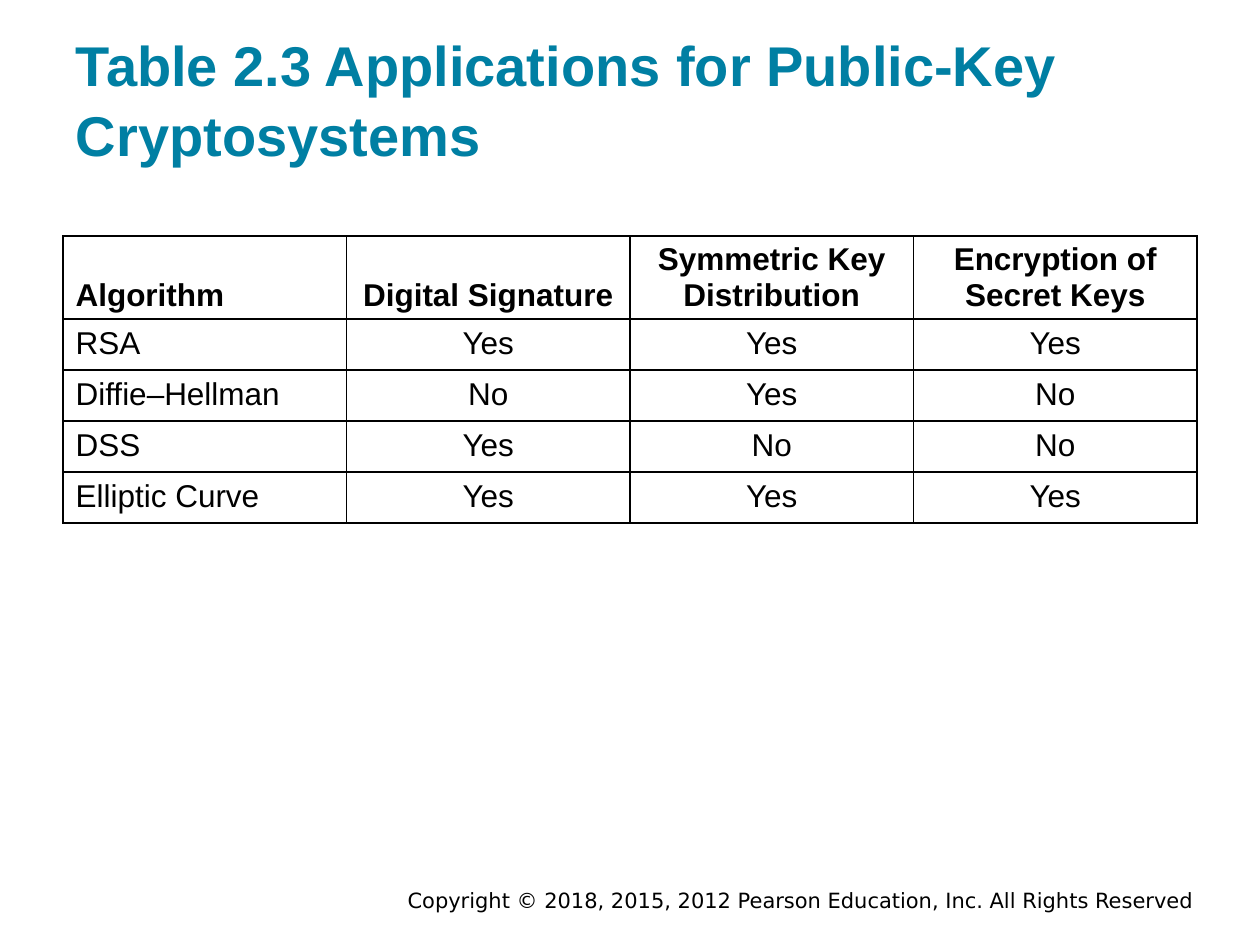
from dataclasses import dataclass
from typing import Any, NamedTuple

from lxml.etree import SubElement
from pptx import Presentation
from pptx.dml.color import RGBColor
from pptx.enum.text import MSO_ANCHOR, MSO_AUTO_SIZE, PP_ALIGN
from pptx.oxml.ns import qn
from pptx.util import Emu, Pt

PX_PER_INCH = 126


@dataclass(frozen=True)
class Theme:
    font: str = "Arial"
    footer_font: str = "DejaVu Sans"
    title_color: str = "007FA3"
    text_color: str = "000000"
    title_size: int = 32
    table_size: int = 18
    footer_size: int = 12
    border_width: int = 1


class Box(NamedTuple):
    left: int
    top: int
    width: int
    height: int


class Row(NamedTuple):
    cells: tuple[str, ...]
    height: int = 51
    bold: bool = False
    anchor: MSO_ANCHOR = MSO_ANCHOR.TOP


THEME = Theme()
TITLE_BOX = Box(63, 30, 1134, 151)
TABLE_BOX = Box(63, 236, 1134, 287)
FOOTER_BOX = Box(220, 886, 987, 28)

ROWS = (
    Row(("Algorithm", "Digital Signature", "Symmetric Key Distribution",
         "Encryption of Secret Keys"), 83, True, MSO_ANCHOR.BOTTOM),
    Row(("RSA", "Yes", "Yes", "Yes")),
    Row(("Diffie–Hellman", "No", "Yes", "No")),
    Row(("DSS", "Yes", "No", "No")),
    Row(("Elliptic Curve", "Yes", "Yes", "Yes")),
)


def px(length: int) -> Emu:
    return Emu(round(length * 914400 / PX_PER_INCH))


def set_values(target: Any, values: dict[str, Any]) -> None:
    for name, value in values.items():
        setattr(target, name, value)


def write(frame: Any, text: str, font: str, size: int, color: str,
          bold: bool = False, align: PP_ALIGN = PP_ALIGN.LEFT) -> Any:
    """Fill the first paragraph of a text frame and return it."""
    para = frame.paragraphs[0]
    para.alignment = align
    span = para.add_run()
    span.text = text
    set_values(span.font, {"name": font, "size": Pt(size), "bold": bold})
    span.font.color.rgb = RGBColor.from_string(color)
    return para


def place(shape: Any, box: Box, anchor: MSO_ANCHOR, inset: int) -> None:
    """Set the box of a text shape, with 13 px side insets."""
    set_values(shape, {name: px(value) for name, value in box._asdict().items()})
    set_values(shape.text_frame, {
        "word_wrap": True,
        "auto_size": MSO_AUTO_SIZE.NONE,
        "vertical_anchor": anchor,
        "margin_left": px(13),
        "margin_right": px(13),
        "margin_top": px(inset),
        "margin_bottom": px(inset),
    })


def add_borders(cell: Any) -> None:
    properties = cell._tc.get_or_add_tcPr()
    for index, side in enumerate(("lnL", "lnR", "lnT", "lnB")):
        line = properties.makeelement(
            qn(f"a:{side}"), {"w": str(Pt(THEME.border_width))})
        fill = SubElement(line, qn("a:solidFill"))
        SubElement(fill, qn("a:srgbClr"), val=THEME.text_color)
        properties.insert(index, line)


def add_title(slide: Any, text: str) -> None:
    title = slide.shapes.title
    place(title, TITLE_BOX, MSO_ANCHOR.BOTTOM, 13)
    para = write(title.text_frame, text, THEME.font, THEME.title_size,
                 THEME.title_color, bold=True)
    para.line_spacing = 1.05


def add_applications_table(slide: Any) -> None:
    column_count = len(ROWS[0].cells)
    table = slide.shapes.add_table(
        len(ROWS), column_count, *map(px, TABLE_BOX)).table
    set_values(table, {"first_row": False, "horz_banding": False})
    for column in table.columns:
        column.width = px(TABLE_BOX.width) // column_count
    for row_index, row in enumerate(ROWS):
        table.rows[row_index].height = px(row.height)
        for column_index, text in enumerate(row.cells):
            cell = table.cell(row_index, column_index)
            cell.fill.background()
            cell.vertical_anchor = row.anchor
            align = PP_ALIGN.CENTER if column_index else PP_ALIGN.LEFT
            write(cell.text_frame, text, THEME.font, THEME.table_size,
                  THEME.text_color, row.bold, align)
            add_borders(cell)


def add_footer(slide: Any, text: str) -> None:
    footer = slide.shapes.add_textbox(*map(px, FOOTER_BOX))
    place(footer, FOOTER_BOX, MSO_ANCHOR.MIDDLE, 6)
    write(footer.text_frame, text, THEME.footer_font, THEME.footer_size,
          THEME.text_color, align=PP_ALIGN.RIGHT)


def main() -> None:
    deck = Presentation()
    set_values(deck, {"slide_width": px(1260), "slide_height": px(945)})
    slide = deck.slides.add_slide(deck.slide_layouts.get_by_name("Title Only"))
    add_footer(slide, "Copyright © 2018, 2015, 2012 Pearson Education, Inc. "
                      "All Rights Reserved")
    add_title(slide, "Table 2.3 Applications for Public-Key Cryptosystems")
    add_applications_table(slide)
    deck.save("out.pptx")


if __name__ == "__main__":
    main()
